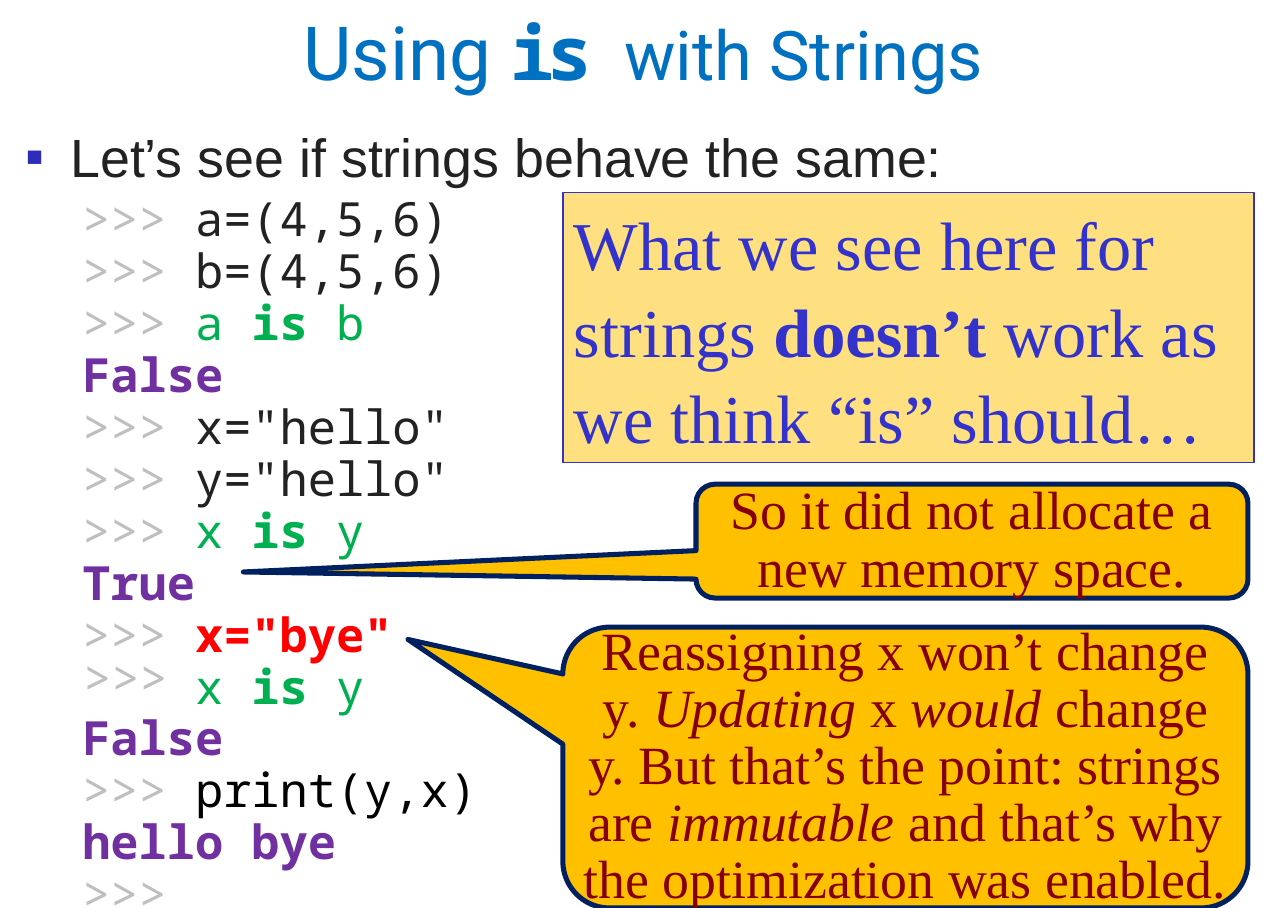
from lxml import etree
from pptx import Presentation
from pptx.dml.color import RGBColor
from pptx.enum.shapes import MSO_SHAPE as Shape
from pptx.enum.text import MSO_ANCHOR as Anchor, MSO_AUTO_SIZE as AutoSize, PP_ALIGN as Align
from pptx.oxml.ns import qn
from pptx.util import Inches, Pt

SANS, SERIF, MONO, DISPLAY = "Arial", "Times New Roman", "Noto Sans Mono", "Roboto"
INK, GREY, GREEN, PURPLE, RED = "222222", "BFBFBF", "00B050", "7030A0", "FF0000"
PROMPT = (">>> ", {"color": GREY})


def rgb(value):
    return RGBColor.from_string(value)


def add_run(paragraph, text, font, size, color, bold=False, italic=False, spacing=None):
    """Add a formatted run; spacing is the extra gap between letters in points."""
    run = paragraph.add_run()
    run.text = text
    run.font.name = font
    run.font.size = Pt(size)
    run.font.color.rgb = rgb(color)
    run.font.bold = bold
    run.font.italic = italic
    if spacing is not None:
        run._r.get_or_add_rPr().set("spc", str(round(spacing * 100)))


def add_runs(paragraph, parts, **base):
    """Add (text, changes) parts, each changing the base format."""
    for text, changes in parts:
        add_run(paragraph, text, **{**base, **changes})


def set_bullet(paragraph, margin, indent=0, character=None, color=None):
    properties = paragraph._p.get_or_add_pPr()
    properties.set("marL", str(Inches(margin)))
    properties.set("indent", str(Inches(indent)))
    if character is None:
        etree.SubElement(properties, qn("a:buNone"))
        return
    bullet_color = etree.SubElement(properties, qn("a:buClr"))
    etree.SubElement(bullet_color, qn("a:srgbClr")).set("val", color)
    etree.SubElement(properties, qn("a:buChar")).set("char", character)


def place(shape, box):
    shape.left, shape.top, shape.width, shape.height = map(Inches, box)


def prepare_frame(shape, anchor, inset_x, inset_y, wrap=True):
    frame = shape.text_frame
    frame.auto_size = AutoSize.NONE
    frame.word_wrap = wrap
    frame.vertical_anchor = anchor
    frame.margin_left = frame.margin_right = Inches(inset_x)
    frame.margin_top = frame.margin_bottom = Inches(inset_y)
    return frame


def add_panel(slide, kind, box, fill, line=None, line_width=0.75):
    shape = slide.shapes.add_shape(kind, *map(Inches, box))
    shape.shadow.inherit = False
    shape.fill.solid()
    shape.fill.fore_color.rgb = rgb(fill)
    if line is None:
        shape.line.fill.background()
    else:
        shape.line.color.rgb = rgb(line)
        shape.line.width = Pt(line_width)
    return shape


def fill_title(slide, box):
    title = slide.shapes.title
    place(title, box)
    paragraph = prepare_frame(title, Anchor.MIDDLE, 0.1, 0.05).paragraphs[0]
    paragraph.alignment = Align.CENTER
    parts = [
        ("Using ", {"size": 44.4}),
        ("is", {"size": 44.4, "font": MONO, "bold": True, "spacing": -4.6}),
        (" ", {"spacing": 9}),
        ("with Strings", {}),
    ]
    add_runs(paragraph, parts, font=DISPLAY, size=40.7, color="0070C0")


def code(text):
    return [PROMPT, (text, {})]


def comparison(left, right):
    return [PROMPT, (f"{left} ", {"color": GREEN}),
            ("is", {"color": GREEN, "bold": True}), (f" {right}", {"color": GREEN})]


def output(text):
    return [(text, {"color": PURPLE, "bold": True})]


def fill_session(slide, box):
    """Fill the body with the bullet and the interpreter session."""
    body = slide.placeholders[1]
    place(body, box)
    frame = prepare_frame(body, Anchor.TOP, 0.1, 0.05)
    lead = frame.paragraphs[0]
    lead.space_before = Pt(0)
    set_bullet(lead, 0.37, -0.37, "▪", "2D2DB9")
    add_run(lead, "Let’s see if strings behave the same:", SANS, 32, INK)
    session = [
        code("a=(4,5,6)"),
        code("b=(4,5,6)"),
        comparison("a", "b"),
        output("False"),
        code('x="hello"'),
        code('y="hello"'),
        comparison("x", "y"),
        output("True"),
        [PROMPT, ('x="bye"', {"color": RED, "bold": True})],
        comparison("x", "y"),
        output("False"),
        [PROMPT, ("print(y,x)", {"color": "000000"})],
        output("hello bye"),
        [(">>>", {"color": GREY})],
    ]
    for index, parts in enumerate(session):
        paragraph = frame.add_paragraph()
        paragraph.line_spacing = Pt(30.9)
        paragraph.space_before = Pt(0 if index else 3.5)
        set_bullet(paragraph, 0.47)
        add_runs(paragraph, parts, font=MONO, size=28, color=INK)


def add_callout(slide, box, tip, parts, line_spacing):
    """Add a rounded callout; tip is the pointer's offset from the centre as shares of the size."""
    callout = add_panel(slide, Shape.ROUNDED_RECTANGULAR_CALLOUT, box, "FFC000", "002060", 3)
    for index, value in enumerate((*tip, 0.167)):
        callout.adjustments[index] = value
    paragraph = prepare_frame(callout, Anchor.MIDDLE, 0.05, 0.05).paragraphs[0]
    paragraph.alignment = Align.CENTER
    paragraph.line_spacing = line_spacing
    add_runs(paragraph, parts, font=SERIF, size=32, color="860000")


def add_prompt_patch(slide, box):
    patch = add_panel(slide, Shape.RECTANGLE, box, "FFFFFF")
    paragraph = prepare_frame(patch, Anchor.TOP, 0.1, 0, wrap=False).paragraphs[0]
    paragraph.alignment = Align.LEFT
    add_run(paragraph, ">>>", MONO, 28, GREY)


def add_remark(slide, box):
    remark = add_panel(slide, Shape.RECTANGLE, box, "FFE080", "3333CC")
    paragraph = prepare_frame(remark, Anchor.TOP, 0.09, 0.05).paragraphs[0]
    paragraph.alignment = Align.LEFT
    paragraph.line_spacing = 1.05
    parts = [("What we see here for strings ", {}), ("doesn’t", {"bold": True}),
             (" work as we think “is” should…", {})]
    add_runs(paragraph, parts, font=SERIF, size=40.7, color="3333CC")


def main():
    presentation = Presentation()
    presentation.slide_width = Inches(10.64)
    presentation.slide_height = Inches(7.5)
    slide = presentation.slides.add_slide(presentation.slide_layouts[1])

    fill_title(slide, (0.9, 0, 8.83, 0.83))
    fill_session(slide, (0.11, 0.97, 9.67, 6.52))
    italic = {"italic": True}
    add_callout(slide, (4.65, 5.18, 5.66, 2.32), (-0.726, -0.456), [
        ("Reassigning x won’t change y. ", {}), ("Updating", italic),
        (" x ", {}), ("would", italic),
        (" change y. But that’s the point: strings are ", {}), ("immutable", italic),
        (" and that’s why the optimization was enabled.", {}),
    ], 0.88)
    add_callout(slide, (5.75, 4, 4.56, 0.94), (-1.32, 0.271),
                [("So it did not allocate a new memory space.", {})], 0.9)
    add_prompt_patch(slide, (0.59, 5.36, 0.91, 0.47))
    add_remark(slide, (4.65, 1.59, 5.71, 2.23))
    presentation.save("out.pptx")


if __name__ == "__main__":
    main()
